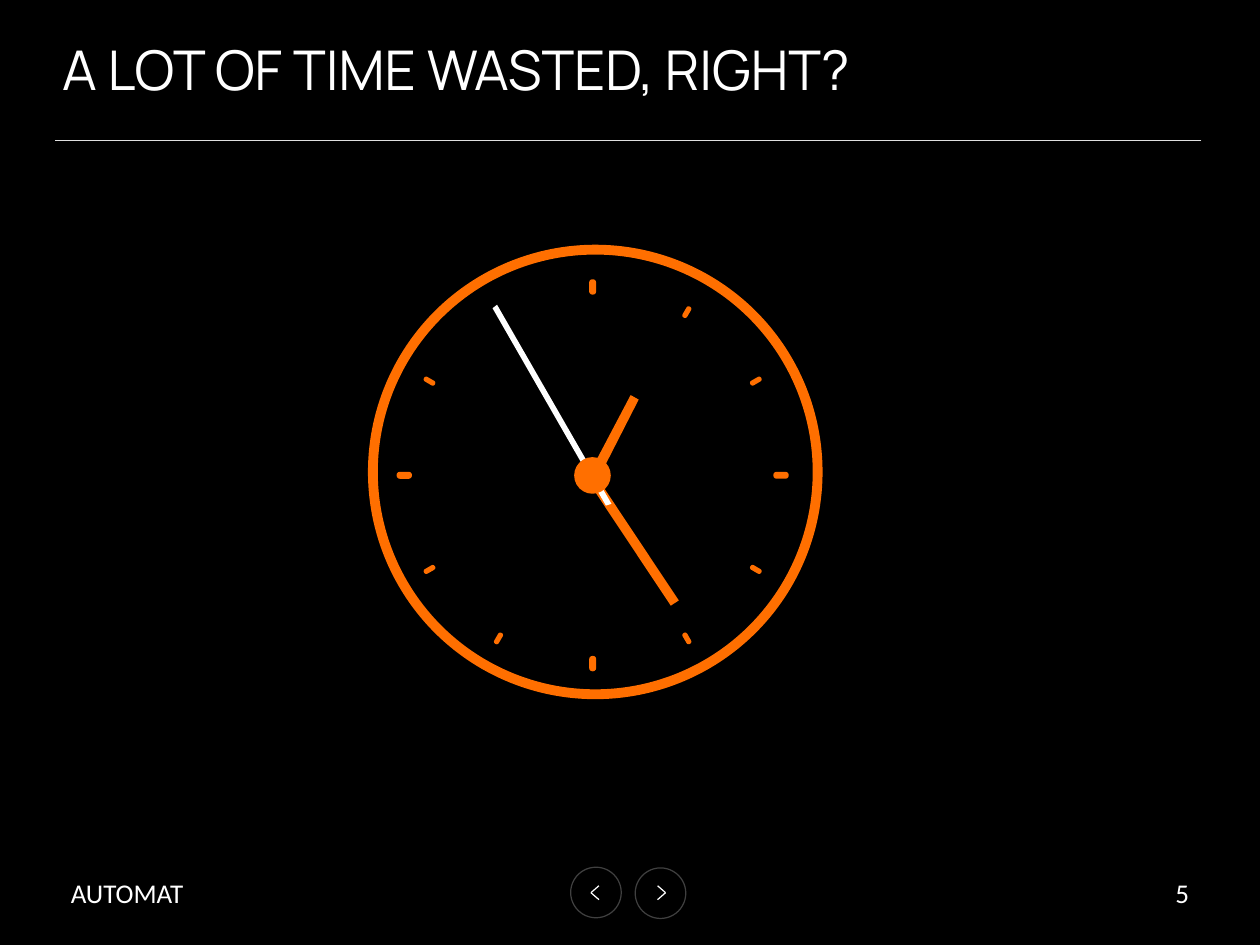
"""Build the slide with the clock and save it as out.pptx."""
from math import cos, radians, sin

from lxml.etree import SubElement
from pptx import Presentation
from pptx.dml.color import RGBColor
from pptx.enum.shapes import MSO_CONNECTOR as LINE, MSO_SHAPE as SHAPE
from pptx.enum.text import MSO_ANCHOR as ANCHOR, PP_ALIGN as ALIGN
from pptx.oxml.ns import qn
from pptx.util import Cm, Pt

BLACK, WHITE, ORANGE = "000000", "FFFFFF", "FF6F00"


def paint(sp, fill=None, line=None, width=1):
    """Set fill and line of a shape from hex strings and drop its shadow."""
    sp.shadow.inherit = False
    if fill:
        sp.fill.solid()
        sp.fill.fore_color.rgb = RGBColor.from_string(fill)
    else:
        sp.fill.background()
    if line:
        sp.line.color.rgb = RGBColor.from_string(line)
        sp.line.width = Pt(width)
    else:
        sp.line.fill.background()


def write(sp, text, font, size, align, inset):
    """Put one white line of text into a shape."""
    tf = sp.text_frame
    tf.text = text
    tf.vertical_anchor = ANCHOR.MIDDLE
    tf.margin_left = tf.margin_right = tf.margin_top = tf.margin_bottom = Cm(inset)
    p = tf.paragraphs[0]
    p.alignment = align
    r = p.runs[0]
    r.font.name, r.font.size = font, Pt(size)
    r.font.color.rgb = RGBColor.from_string(WHITE)


prs = Presentation()
prs.slide_width, prs.slide_height = Cm(36.12), Cm(27.1)
s = prs.slides.add_slide(prs.slide_layouts[5])
s.background.fill.solid()
s.background.fill.fore_color.rgb = RGBColor.from_string(BLACK)

title = s.shapes.title
title.left, title.top, title.width, title.height = Cm(1.78), Cm(1.04), Cm(24.08), Cm(1.88)
write(title, "A LOT OF TIME WASTED, RIGHT?", "Manrope", 44.5, ALIGN.LEFT, 0)

for text, left, width, align, wrap in [
    ("AUTOMAT", 1.8, 8.43, ALIGN.LEFT, True),
    ("5", 33.38, 0.94, ALIGN.RIGHT, False),
]:
    sp = s.shapes.add_textbox(Cm(left), Cm(24.89), Cm(width), Cm(1.4))
    write(sp, text, "Calibri", 22, align, 0.23)
    sp.text_frame.word_wrap = wrap

lines = [(34.44, 4.04, 1.57, 4.04, "E0E0E0")]
for left, top, tip, back in [(16.36, 24.87, 16.94, 17.17), (18.21, 24.89, 19.08, 18.85)]:
    button = s.shapes.add_shape(SHAPE.OVAL, Cm(left), Cm(top), Cm(1.45), Cm(1.45))
    paint(button, BLACK, "404040")
    for dy in (-0.2, 0.2):
        lines.append((tip, 25.6, back, 25.6 + dy, WHITE))

for x1, y1, x2, y2, color in lines:
    line = s.shapes.add_connector(LINE.STRAIGHT, Cm(x1), Cm(y1), Cm(x2), Cm(y2))
    line.line.color.rgb = RGBColor.from_string(color)
    line.line.width = Pt(1)
    SubElement(line._element.spPr, qn("a:effectLst"))

ring = s.shapes.add_shape(SHAPE.OVAL, Cm(10.69), Cm(7.16), Cm(12.75), Cm(12.75))
paint(ring, line=ORANGE, width=8)

center_x, center_y, radius = 16.99, 13.63, 5.4
for hour in range(1, 13):
    if hour == 11:
        continue
    length, width = (0.44, 0.2) if hour % 3 == 0 else (0.36, 0.15)
    angle = radians(hour * 30)
    x = center_x + radius * sin(angle)
    y = center_y - radius * cos(angle)
    tick = s.shapes.add_shape(SHAPE.ROUNDED_RECTANGLE, Cm(x - width / 2),
                              Cm(y - length / 2), Cm(width), Cm(length))
    tick.adjustments[0] = 0.45
    tick.rotation = hour * 30
    paint(tick, ORANGE)

hour_hand = [(18.31, 11.46), (17.07, 13.89), (16.81, 13.74), (18.08, 11.33)]
minute_hand = [(19.23, 17.37), (16.97, 13.97), (17.2, 13.82), (19.46, 17.22)]
second_hand = [(17.37, 14.5), (14.12, 8.84), (14.25, 8.74), (17.53, 14.45)]
for hand, color in [(hour_hand, ORANGE), (minute_hand, ORANGE), (second_hand, WHITE)]:
    points = [(Cm(x), Cm(y)) for x, y in hand]
    outline = s.shapes.build_freeform(*points[0])
    outline.add_line_segments(points[1:])
    paint(outline.convert_to_shape(), color)

hub = s.shapes.add_shape(SHAPE.OVAL, Cm(16.46), Cm(13.11), Cm(1.05), Cm(1.05))
paint(hub, ORANGE)

prs.save("out.pptx")
